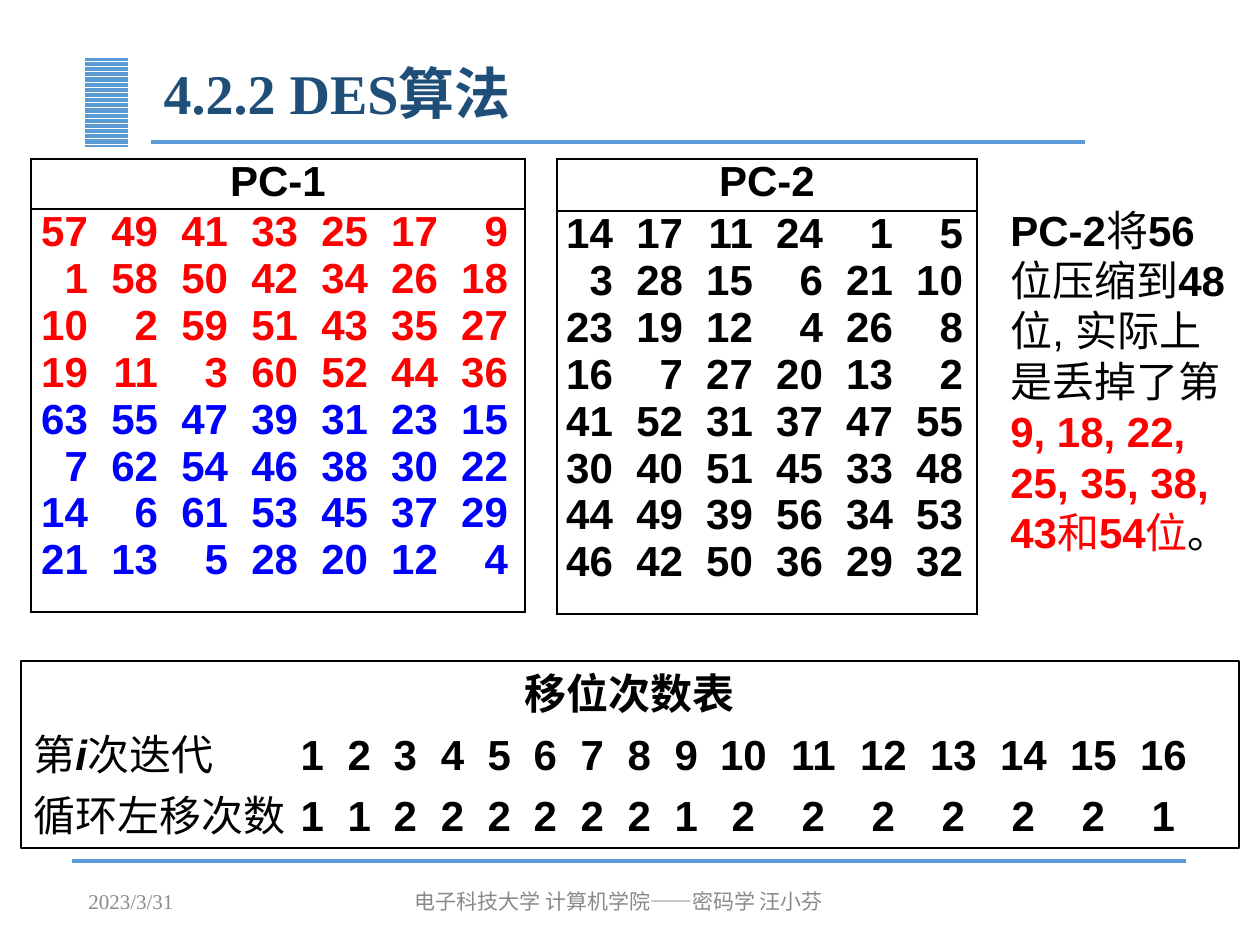
from lxml.etree import SubElement
from pptx import Presentation
from pptx.dml.color import RGBColor
from pptx.enum.dml import MSO_PATTERN
from pptx.enum.shapes import MSO_CONNECTOR, MSO_SHAPE
from pptx.enum.text import MSO_ANCHOR, MSO_AUTO_SIZE, PP_ALIGN
from pptx.oxml.ns import qn
from pptx.util import Pt

SCALE = 914400 / 126
BLUE, BLACK, RED = "5B9BD5", "000000", "FF0000"
SANS, SERIF, HAN = "Arial", "Times New Roman", "Noto Sans CJK SC"
LEFT, MID = PP_ALIGN.LEFT, PP_ALIGN.CENTER
BOLD, RED_BOLD = {"bold": True}, {"bold": True, "color": RED}

PC1 = """57 49 41 33 25 17 9
1 58 50 42 34 26 18
10 2 59 51 43 35 27
19 11 3 60 52 44 36
63 55 47 39 31 23 15
7 62 54 46 38 30 22
14 6 61 53 45 37 29
21 13 5 28 20 12 4"""
PC2 = """14 17 11 24 1 5
3 28 15 6 21 10
23 19 12 4 26 8
16 7 27 20 13 2
41 52 31 37 47 55
30 40 51 45 33 48
44 49 39 56 34 53
46 42 50 36 29 32"""
TURNS = " ".join(str(n) for n in range(1, 17))
SHIFTS = "1 1 2 2 2 2 2 2 1 2 2 2 2 2 2 1"


def px(n):
    return round(n * SCALE)


def rgb(code):
    return RGBColor.from_string(code)


def tabbed(row):
    """Put a tab before each number of a row."""
    return "".join("\t" + num for num in row.split())


def set_tabs(para, stops, kind):
    tabs = SubElement(para._p.get_or_add_pPr(), qn("a:tabLst"))
    for stop in stops:
        SubElement(tabs, qn("a:tab"), pos=str(px(stop)), algn=kind)


def add_run(para, text, size=24, font=SANS, color=BLACK, bold=False, italic=False):
    run = para.add_run()
    run.text = text
    face = run.font
    face.size, face.name = Pt(size), font
    face.bold, face.italic = bold, italic
    face.color.rgb = rgb(color)
    SubElement(run._r.get_or_add_rPr(), qn("a:ea"), typeface=HAN)


def add_text(frame, parts, align=LEFT, first=False, after=0, lead=None,
             stops=(), kind="r", **fmt):
    """Write one paragraph from a string or from (text, format) pairs."""
    para = frame.paragraphs[0] if first else frame.add_paragraph()
    para.alignment = align
    para.space_after = Pt(after)
    if lead:
        para.line_spacing = lead
    if stops:
        set_tabs(para, stops, kind)
    pairs = [(parts, {})] if isinstance(parts, str) else parts
    for text, own in pairs:
        add_run(para, text, **{**fmt, **own})


def add_box(slide, x, y, w, h, anchor=MSO_ANCHOR.TOP):
    frame = slide.shapes.add_textbox(px(x), px(y), px(w), px(h)).text_frame
    frame.word_wrap = True
    frame.vertical_anchor = anchor
    return frame


def add_rect(slide, x, y, w, h):
    shape = slide.shapes.add_shape(MSO_SHAPE.RECTANGLE, px(x), px(y), px(w), px(h))
    shape.shadow.inherit = False
    return shape


def add_rule(slide, x1, x2, y):
    rule = slide.shapes.add_connector(MSO_CONNECTOR.STRAIGHT, px(x1), px(y), px(x2), px(y))
    rule.line.color.rgb = rgb(BLUE)
    rule.line.width = Pt(2.25)
    SubElement(rule._element.spPr, qn("a:effectLst"))


def format_cell(cell, pad):
    props = cell._tc.get_or_add_tcPr()
    for side in "LRTB":
        edge = SubElement(props, qn("a:ln" + side), w=str(Pt(1)))
        fill = SubElement(edge, qn("a:solidFill"))
        SubElement(fill, qn("a:srgbClr"), val=BLACK)
    cell.fill.background()
    cell.margin_left = cell.margin_right = px(pad)
    cell.margin_top = cell.margin_bottom = 0


def add_grid(slide, x, w, head, name, nums, colors, pad):
    """Add a framed number table; colors are spread evenly over its rows."""
    table = slide.shapes.add_table(2, 1, px(x), px(159), px(w), px(head + 403)).table
    table.first_row = table.horz_banding = False
    table.rows[0].height, table.rows[1].height = px(head), px(403)
    top, body = table.cell(0, 0), table.cell(1, 0)
    for cell in (top, body):
        format_cell(cell, pad)
    add_text(top.text_frame, name, MID, first=True, bold=True)
    rows = nums.splitlines()
    stops = [47 + 70 * i for i in range(len(rows[0].split()))]
    for i, row in enumerate(rows):
        add_text(body.text_frame, tabbed(row), first=i == 0, stops=stops,
                 bold=True, color=colors[i * len(colors) // len(rows)])


def add_title(slide, text):
    title = slide.shapes.title
    title.left, title.top, title.width, title.height = map(px, (151, 50, 934, 92))
    frame = title.text_frame
    frame.auto_size = MSO_AUTO_SIZE.NONE
    frame.vertical_anchor = MSO_ANCHOR.MIDDLE
    add_text(frame, text, first=True, lead=0.9, size=32, font=SERIF,
             color="1F4E79", bold=True)


def add_badge(slide):
    """Add the striped block beside the title."""
    badge = add_rect(slide, 85, 57, 43, 90)
    badge.line.fill.background()
    badge.fill.patterned()
    badge.fill.pattern = MSO_PATTERN.DARK_HORIZONTAL
    badge.fill.fore_color.rgb = rgb(BLUE)
    badge.fill.back_color.rgb = rgb("FFFFFF")


def add_shifts(slide):
    box = add_rect(slide, 21, 661, 1218, 187)
    box.fill.background()
    box.line.color.rgb = rgb(BLACK)
    box.line.width = Pt(1.25)
    frame = box.text_frame
    frame.word_wrap = True
    frame.vertical_anchor = MSO_ANCHOR.TOP
    add_text(frame, "移位次数表", MID, first=True, after=6, font=HAN, bold=True)
    stops = [round(279 + 46.7 * i) for i in range(9)] + [710 + 70 * i for i in range(7)]
    turn = [("第", {}), ("i", {"bold": True, "italic": True}), ("次迭代", {})]
    for label, nums in ((turn, TURNS), ([("循环左移次数", {"font": HAN})], SHIFTS)):
        add_text(frame, label + [(tabbed(nums), BOLD)], after=6, stops=stops, kind="ctr")


def add_note(slide):
    parts = [("PC-2", BOLD), ("将", {}), ("56", BOLD), ("位压缩到", {}), ("48", BOLD),
             ("位, 实际上是丢掉了第", {}), ("9, 18, 22, 25, 35, 38, 43", RED_BOLD),
             ("和", {"color": RED}), ("54", RED_BOLD), ("位", {"color": RED}), ("。", {})]
    add_text(add_box(slide, 998, 198, 242, 369), parts, first=True)


def add_foot(slide, x, w, text, align, color):
    frame = add_box(slide, x, 876, w, 50, MSO_ANCHOR.MIDDLE)
    add_text(frame, text, align, first=True, size=12, font=SERIF, color=color)


def main():
    deck = Presentation()
    deck.slide_width, deck.slide_height = px(1260), px(945)
    slide = deck.slides.add_slide(deck.slide_layouts[5])
    add_badge(slide)
    add_rule(slide, 151, 1085, 142)
    add_rule(slide, 72, 1186, 861)
    add_title(slide, "4.2.2 DES算法")
    add_grid(slide, 31, 494, 50, "PC-1", PC1, [RED, "0000FF"], 10)
    add_grid(slide, 557, 420, 52, "PC-2", PC2, [BLACK], 9)
    add_shifts(slide)
    add_note(slide)
    add_foot(slide, 76, 284, "2023/3/31", LEFT, "8C8C8C")
    add_foot(slide, 397, 444, "电子科技大学 计算机学院——密码学 汪小芬", MID, "898989")
    deck.save("out.pptx")


if __name__ == "__main__":
    main()
